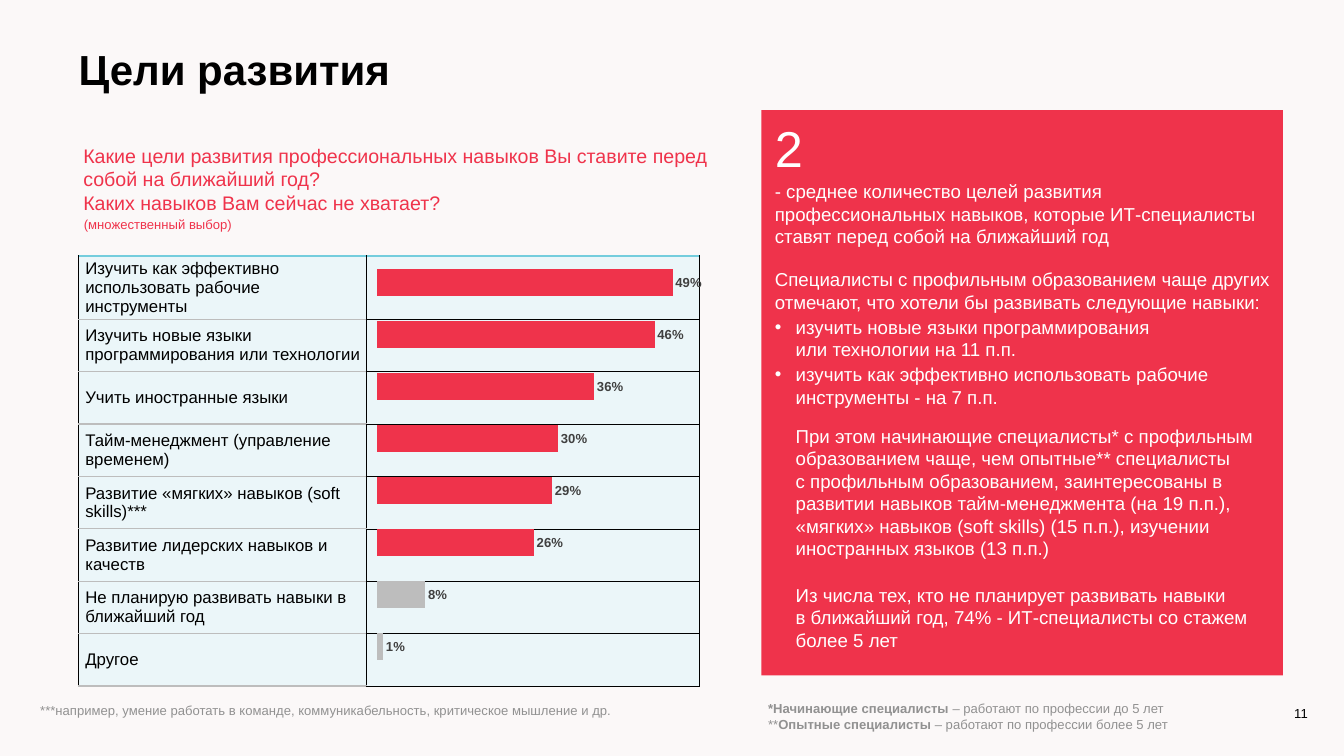
from copy import deepcopy
from dataclasses import dataclass

from lxml import etree
from pptx import Presentation
from pptx.chart.data import CategoryChartData
from pptx.dml.color import RGBColor
from pptx.enum.chart import XL_CHART_TYPE, XL_LABEL_POSITION
from pptx.enum.shapes import MSO_SHAPE
from pptx.enum.text import MSO_ANCHOR, MSO_AUTO_SIZE, PP_ALIGN
from pptx.oxml.ns import qn
from pptx.util import Inches, Pt

BAR = XL_CHART_TYPE.BAR_CLUSTERED
OUTSIDE_END = XL_LABEL_POSITION.OUTSIDE_END
RECTANGLE = MSO_SHAPE.RECTANGLE
TOP, MIDDLE = MSO_ANCHOR.TOP, MSO_ANCHOR.MIDDLE
NO_FIT = MSO_AUTO_SIZE.NONE
LEFT, RIGHT = PP_ALIGN.LEFT, PP_ALIGN.RIGHT


@dataclass(frozen=True)
class Theme:
    font: str = "Arial"
    back: str = "FBF8F8"
    ink: str = "000000"
    accent: str = "EF334B"
    white: str = "FFFFFF"
    muted: str = "919191"
    grey: str = "BDBDBD"
    cell: str = "EBF6F9"
    teal: str = "74CDDD"
    label: str = "404040"
    title: int = 45
    figure: int = 54
    question: int = 21
    body: int = 20
    table: int = 18
    note: int = 14


T = Theme()

GOALS = [
    ("Изучить как эффективно использовать рабочие инструменты", 0.49),
    ("Изучить новые языки программирования или технологии", 0.46),
    ("Учить иностранные языки", 0.36),
    ("Тайм-менеджмент (управление временем)", 0.30),
    ("Развитие «мягких» навыков (soft skills)***", 0.29),
    ("Развитие лидерских навыков и качеств", 0.26),
    ("Не планирую развивать навыки в ближайший год", 0.08),
    ("Другое", 0.01),
]
MINOR_GOALS = 2

QUESTION = [
    "Какие цели развития профессиональных навыков Вы ставите перед собой на ближайший год?",
    "Каких навыков Вам сейчас не хватает?",
]

# Each entry: text, paragraph options
FINDINGS = [
    ("2", {"size": T.figure}),
    ("- среднее количество целей развития профессиональных навыков, которые "
     "ИТ-специалисты ставят перед собой на ближайший год", {"before": 3}),
    ("Специалисты с профильным образованием чаще других отмечают, что хотели бы "
     "развивать следующие навыки:", {"before": 22}),
    ("изучить новые языки программирования\nили технологии на 11 п.п.",
     {"before": 3, "indent": 0.31, "bullet": "•"}),
    ("изучить как эффективно использовать рабочие инструменты - на 7 п.п.",
     {"before": 3, "indent": 0.31, "bullet": "•"}),
    ("При этом начинающие специалисты* с профильным образованием чаще, чем опытные** "
     "специалисты\nс профильным образованием, заинтересованы в развитии навыков "
     "тайм-менеджмента (на 19 п.п.), «мягких» навыков (soft skills) (15 п.п.), "
     "изучении иностранных языков (13 п.п.)", {"before": 18, "indent": 0.31}),
    ("Из числа тех, кто не планирует развивать навыки\nв ближайший год, 74% - "
     "ИТ-специалисты со стажем более 5 лет", {"before": 26, "indent": 0.31}),
]

# Each paragraph: (text, bold) pairs
DEFINITIONS = [
    [("*Начинающие специалисты ", True), ("– работают по профессии до 5 лет", False)],
    [("**", False), ("Опытные специалисты ", True),
     ("– работают по профессии более 5 лет", False)],
]


def rgb(color):
    return RGBColor.from_string(color)


def set_font(font, size, color, bold=False):
    for name, value in {"name": T.font, "size": Pt(size), "bold": bold}.items():
        setattr(font, name, value)
    font.color.rgb = rgb(color)


def set_border(cell, side, color, width):
    """Draw one side (L, R, T or B) of a table cell."""
    pr = cell._tc.get_or_add_tcPr()
    ln = etree.Element(qn(f"a:ln{side}"), w=str(Pt(width)))
    fill = etree.SubElement(ln, qn("a:solidFill"))
    etree.SubElement(fill, qn("a:srgbClr"), val=color)
    pr.insert(len(pr.findall("*")) - 1, ln)


class SlideBuilder:
    """Holds the theme and the slide being filled."""

    def __init__(self, prs, theme):
        self.t = theme
        self.s = prs.slides.add_slide(prs.slide_layouts[3])
        self.s.background.fill.solid()
        self.s.background.fill.fore_color.rgb = rgb(theme.back)

    def paragraph(self, p, content, size, color, bold=False, before=0, indent=0,
                  bullet=None, align=LEFT, spacing=1.0):
        """Fill p with a string or with (text, bold) pairs; a newline breaks the line."""
        pr = p._p.get_or_add_pPr()
        pr.set("marL", str(Inches(indent)))
        pr.set("indent", str(-Inches(indent) if bullet else 0))
        if bullet:
            etree.SubElement(pr, qn("a:buFont"), typeface=self.t.font)
            etree.SubElement(pr, qn("a:buChar"), char=bullet)
        else:
            etree.SubElement(pr, qn("a:buNone"))
        formats = {"alignment": align, "space_before": Pt(before),
                   "space_after": Pt(0), "line_spacing": spacing}
        for name, value in formats.items():
            setattr(p, name, value)
        for text, strong in [(content, bold)] if isinstance(content, str) else content:
            for i, line in enumerate(text.split("\n")):
                if i:
                    p.add_line_break()
                r = p.add_run()
                r.text = line
                set_font(r.font, size, color, strong)
        for br in p._p.findall(qn("a:br")):
            br.insert(0, deepcopy(p.runs[0]._r.rPr))

    def text(self, box, items, size, color, sp=None, inset=(0.1, 0.05), anchor=TOP, **style):
        """Write paragraphs into a placeholder, or into a new text box if sp is None."""
        box = [Inches(v) for v in box]
        sp = sp or self.s.shapes.add_textbox(*box)
        sp.left, sp.top, sp.width, sp.height = box
        tf = sp.text_frame
        x, y = map(Inches, inset)
        formats = {"word_wrap": True, "auto_size": NO_FIT, "vertical_anchor": anchor,
                   "margin_left": x, "margin_right": x, "margin_top": y, "margin_bottom": y}
        for name, value in formats.items():
            setattr(tf, name, value)
        for i, item in enumerate(items):
            content, options = item if isinstance(item, tuple) else (item, {})
            p = tf.add_paragraph() if i else tf.paragraphs[0]
            self.paragraph(p, content, **{"size": size, "color": color, **style, **options})
        return sp

    def panel(self, box, color, behind):
        sp = self.s.shapes.add_shape(RECTANGLE, *[Inches(v) for v in box])
        sp.shadow.inherit = False
        sp.fill.solid()
        sp.fill.fore_color.rgb = rgb(color)
        sp.line.fill.background()
        behind.element.addprevious(sp.element)

    def table(self, box, labels, widths):
        """Labels in the first column; the second is left free for the bars."""
        t = self.t
        table = self.s.shapes.add_table(len(labels), len(widths),
                                        *[Inches(v) for v in box]).table
        table.first_row = table.horz_banding = False
        for column, width in zip(table.columns, widths):
            column.width = Inches(width)
        for i, label in enumerate(labels):
            table.rows[i].height = Inches(0.78)
            for j, rule in enumerate([(t.grey, 1.47), (t.ink, 0.75)]):
                cell = table.cell(i, j)
                cell.fill.solid()
                cell.fill.fore_color.rgb = rgb(t.cell)
                sides = {"L": (t.ink, 0.75), "R": (t.ink, 0.75),
                         "T": rule if i else (t.teal, 1.47), "B": rule}
                for side, (color, width) in sides.items():
                    set_border(cell, side, color, width)
            cell = table.cell(i, 0)
            cell.vertical_anchor = MIDDLE
            cell.margin_left = cell.margin_right = Inches(0.01)
            self.paragraph(cell.text_frame.paragraphs[0], label, t.table, t.ink, indent=0.1)

    def bars(self, box, values, minor, plot):
        """Bars from the bottom up; the first `minor` are grey. plot: inner area fractions."""
        t = self.t
        data = CategoryChartData(number_format="0%")
        data.categories = [str(n + 1) for n in range(len(values))]
        data.add_series("Series 1", values)
        chart = self.s.shapes.add_chart(BAR, *[Inches(v) for v in box], data).chart
        chart.has_legend = chart.has_title = False
        set_font(chart.font, 10, t.ink)
        for axis in (chart.category_axis, chart.value_axis):
            axis.visible = axis.has_major_gridlines = False
        chart.value_axis.minimum_scale, chart.value_axis.maximum_scale = 0, 0.5
        bar_plot = chart.plots[0]
        bar_plot.gap_width, bar_plot.vary_by_categories = 95, False
        series = bar_plot.series[0]
        fills = [series.format.fill] + [series.points[i].format.fill for i in range(minor)]
        for fill, color in zip(fills, [t.accent] + [t.grey] * minor):
            fill.solid()
            fill.fore_color.rgb = rgb(color)
        labels = series.data_labels
        formats = {"show_value": True, "number_format": "0%",
                   "number_format_is_linked": False, "position": OUTSIDE_END}
        for name, value in formats.items():
            setattr(labels, name, value)
        set_font(labels.font, t.note, t.label, True)

        area = chart._chartSpace.chart.plotArea
        for old in area.findall(qn("c:layout")):
            area.remove(old)
        layout = etree.Element(qn("c:layout"))
        manual = etree.SubElement(layout, qn("c:manualLayout"))
        settings = {"layoutTarget": "inner", "xMode": "edge", "yMode": "edge",
                    **dict(zip("xywh", plot))}
        for name, value in settings.items():
            etree.SubElement(manual, qn(f"c:{name}"), val=str(value))
        area.insert(0, layout)


def main():
    prs = Presentation()
    prs.slide_width, prs.slide_height = Inches(20), Inches(11.25)
    b = SlideBuilder(prs, T)
    title, findings, definitions = b.s.placeholders

    b.text((1.07, 0.5, 18.1, 1.13), ["Цели развития"], T.title, T.ink, title,
           inset=(0.1, 0.14), bold=True)
    b.text((11.43, 1.69, 7.61, 8.11), FINDINGS, T.body, T.white, findings)
    b.panel((11.33, 1.64, 7.76, 8.41), T.accent, behind=findings)
    b.text((11.33, 10.38, 8.51, 0.6), DEFINITIONS, T.note, T.muted, definitions)

    b.text((1.24, 2.14, 9.35, 0.56), QUESTION, T.question, T.accent, inset=(0, 0))
    b.text((1.15, 3.2, 4.76, 0.45), ["(множественный выбор)"], T.note, T.accent, spacing=0.9)
    b.table((1.16, 3.81, 9.25, 6.3), [label for label, _ in GOALS], (4.29, 4.96))
    b.bars((5.5, 3.69, 5.68, 6.45), [share for _, share in reversed(GOALS)], MINOR_GOALS,
           plot=(0.02, 0.02, 0.79, 0.96))
    b.text((0.5, 10.41, 10, 0.33),
           ["***например, умение работать в команде, коммуникабельность, "
            "критическое мышление и др."], T.note, T.muted)
    b.text((18.67, 10.48, 0.89, 0.27), ["11"], T.note, T.ink, anchor=MIDDLE, align=RIGHT)
    prs.save("out.pptx")


if __name__ == "__main__":
    main()
